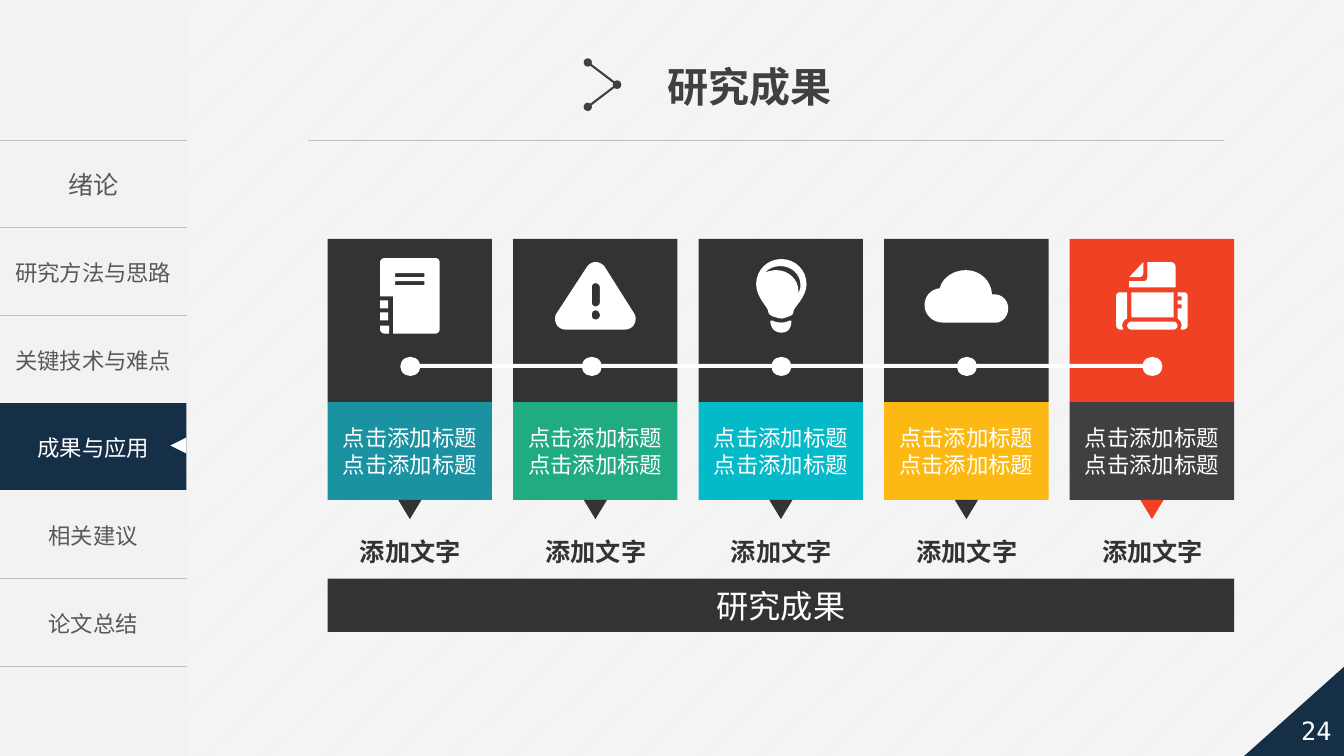
import pptx
import pptx.dml.color
import pptx.enum.dml
import pptx.enum.shapes
import pptx.enum.text
import pptx.oxml
import pptx.oxml.ns
import pptx.util

Inches = pptx.util.Inches
Shape = pptx.enum.shapes.MSO_SHAPE
Align = pptx.enum.text.PP_ALIGN
Anchor = pptx.enum.text.MSO_ANCHOR

COLORS = {
    "white": "FFFFFF", "panel": "F2F2F2", "rule": "BFBFBF", "menu": "595959",
    "navy": "152F47", "dark": "333333", "gray": "404040", "teal": "1A92A2",
    "green": "21AB82", "cyan": "05BAC8", "yellow": "FCB813", "red": "F14124",
}
CHAPTERS = ["绪论", "研究方法与思路", "关键技术与难点", "成果与应用", "相关建议", "论文总结"]
ACTIVE = 3
MENU_TOP, MENU_WIDTH, ROW_HEIGHT = 1.39, 1.85, 0.87
# top color, caption color, center of the timeline dot
CARDS = [("dark", "teal", 4.07), ("dark", "green", 5.87), ("dark", "cyan", 7.75),
         ("dark", "yellow", 9.59), ("red", "gray", 11.43)]
CARD_LEFT, CARD_STEP, CARD_WIDTH = 3.25, 1.84, 1.63

# Contours: a pair is a straight step, six numbers are a Bézier step.
NOTEBOOK = [
    [(3.82, 2.56), (4.32, 2.56), (4.34, 2.56, 4.36, 2.58, 4.36, 2.6), (4.36, 3.27),
     (4.36, 3.29, 4.34, 3.31, 4.32, 3.31), (3.9, 3.31), (3.9, 2.94), (3.77, 2.94),
     (3.77, 2.6), (3.77, 2.58, 3.79, 2.56, 3.82, 2.56)],
    [(3.92, 2.83), (4.21, 2.83), (4.21, 2.79), (3.92, 2.79)],
    [(3.92, 2.75), (4.21, 2.75), (4.21, 2.71), (3.92, 2.71)],
]
NOTEBOOK_CORNER = [[(3.86, 3.31), (3.82, 3.31), (3.79, 3.31, 3.77, 3.29, 3.77, 3.27),
                    (3.77, 3.23), (3.86, 3.23)]]
WARNING = [
    [(5.82, 2.65), (5.84, 2.62, 5.87, 2.6, 5.91, 2.6), (5.94, 2.6, 5.98, 2.62, 6, 2.65),
     (6.29, 3.11), (6.31, 3.14, 6.31, 3.18, 6.29, 3.22), (6.27, 3.25, 6.24, 3.27, 6.2, 3.27),
     (5.61, 3.27), (5.57, 3.27, 5.54, 3.25, 5.52, 3.22), (5.5, 3.18, 5.5, 3.14, 5.52, 3.11)],
    [(5.91, 3.17), (5.93, 3.17, 5.95, 3.15, 5.95, 3.13), (5.95, 3.1, 5.93, 3.08, 5.91, 3.08),
     (5.88, 3.08, 5.87, 3.1, 5.87, 3.13), (5.87, 3.15, 5.88, 3.17, 5.91, 3.17)],
    [(5.87, 3), (5.87, 3.02, 5.88, 3.04, 5.91, 3.04), (5.93, 3.04, 5.95, 3.02, 5.95, 3),
     (5.95, 2.85), (5.95, 2.83, 5.93, 2.81, 5.91, 2.81), (5.88, 2.81, 5.87, 2.83, 5.87, 2.85)],
]
BULB_BASE = [[(7.64, 3.18), (7.66, 3.18), (7.68, 3.19, 7.71, 3.2, 7.75, 3.2),
              (7.79, 3.2, 7.81, 3.19, 7.83, 3.18), (7.85, 3.18),
              (7.85, 3.25, 7.82, 3.3, 7.75, 3.3), (7.68, 3.3, 7.64, 3.25, 7.64, 3.18)]]
BULB = [
    [(7.75, 2.57), (7.89, 2.57, 8, 2.68, 8, 2.82), (8, 2.95, 7.87, 3.05, 7.87, 3.09),
     (7.87, 3.11, 7.86, 3.13, 7.82, 3.14), (7.81, 3.15, 7.78, 3.15, 7.76, 3.16),
     (7.73, 3.16, 7.7, 3.15, 7.67, 3.14), (7.64, 3.13, 7.62, 3.11, 7.62, 3.09),
     (7.62, 3.05, 7.5, 2.95, 7.5, 2.82), (7.5, 2.68, 7.61, 2.57, 7.75, 2.57)],
    [(7.7, 2.68), (7.82, 2.68, 7.92, 2.77, 7.92, 2.89), (7.92, 2.91),
     (7.93, 2.88, 7.94, 2.86, 7.94, 2.83), (7.94, 2.72, 7.85, 2.64, 7.74, 2.64),
     (7.67, 2.64, 7.62, 2.67, 7.58, 2.71), (7.61, 2.69, 7.66, 2.68, 7.7, 2.68)],
]
CLOUD = [[(9.32, 2.86), (9.35, 2.75, 9.46, 2.68, 9.58, 2.68),
          (9.72, 2.68, 9.83, 2.78, 9.84, 2.92), (9.86, 2.92),
          (9.94, 2.92, 10, 2.98, 10, 3.06), (10, 3.12, 9.96, 3.19, 9.89, 3.2), (9.35, 3.2),
          (9.25, 3.2, 9.17, 3.12, 9.17, 3.03), (9.17, 2.94, 9.23, 2.87, 9.32, 2.86)]]
PRINTER_LEFT = [[(11.11, 2.9), (11.18, 2.9), (11.18, 3.16), (11.15, 3.17, 11.13, 3.2, 11.13, 3.23),
                 (11.14, 3.27), (11.11, 3.27), (11.09, 3.27, 11.07, 3.25, 11.07, 3.23),
                 (11.07, 2.94), (11.07, 2.91, 11.09, 2.9, 11.11, 2.9)]]
PRINTER_RIGHT = [[(11.68, 3.16), (11.68, 3.06), (11.72, 3.06), (11.72, 3.02), (11.68, 3.02),
                  (11.68, 2.98), (11.72, 2.98), (11.72, 2.94), (11.68, 2.94), (11.68, 2.9),
                  (11.74, 2.9), (11.76, 2.9, 11.78, 2.91, 11.78, 2.94), (11.78, 3.23),
                  (11.78, 3.25, 11.76, 3.27, 11.74, 3.27), (11.71, 3.27), (11.72, 3.23),
                  (11.72, 3.2, 11.7, 3.17, 11.68, 3.16)]]
PAPER_FOLD = [[(11.3, 2.75), (11.2, 2.75), (11.34, 2.6), (11.34, 2.71),
               (11.34, 2.73, 11.32, 2.75, 11.3, 2.75)]]
PAPER = [[(11.2, 2.79), (11.34, 2.79), (11.37, 2.79, 11.38, 2.77, 11.38, 2.75), (11.38, 2.6),
          (11.61, 2.6), (11.64, 2.6, 11.66, 2.62, 11.66, 2.65), (11.66, 2.85), (11.2, 2.85)]]
ICONS = [NOTEBOOK_CORNER, NOTEBOOK, WARNING, BULB_BASE, BULB, CLOUD,
         PRINTER_LEFT, PRINTER_RIGHT, PAPER_FOLD, PAPER]


def color(name):
    return pptx.dml.color.RGBColor.from_string(COLORS[name])


def flatten(contour, steps=8):
    """Turn the Bézier steps of a contour into short straight ones."""
    points = [contour[0]]
    for step in contour[1:]:
        if len(step) == 2:
            points.append(step)
            continue
        corners = [points[-1], step[:2], step[2:4], step[4:]]
        for index in range(1, steps + 1):
            t = index / steps
            weights = ((1 - t) ** 3, 3 * t * (1 - t) ** 2, 3 * t * t * (1 - t), t ** 3)
            points.append(tuple(sum(w * corner[axis] for w, corner in zip(weights, corners))
                                for axis in (0, 1)))
    return [(Inches(x), Inches(y)) for x, y in points]


class SlideBuilder:
    font = "Noto Sans CJK SC"

    def __init__(self, slide):
        self.slide = slide
        self.shapes = slide.shapes

    def background(self):
        fill = self.slide.background.fill
        fill.patterned()
        fill.pattern = pptx.enum.dml.MSO_PATTERN.LIGHT_UPWARD_DIAGONAL
        fill.fore_color.rgb, fill.back_color.rgb = color("white"), color("panel")

    def add_lines(self, frame, lines, size, ink, bold=False, align=Align.CENTER, font=None):
        for index, line in enumerate(lines):
            paragraph = frame.paragraphs[0] if index == 0 else frame.add_paragraph()
            paragraph.alignment = align
            run = paragraph.add_run()
            run.text = line
            run.font.name = font or self.font
            run.font.size, run.font.bold = pptx.util.Pt(size), bold
            run.font.color.rgb = color(ink)
            east_asian = pptx.oxml.parse_xml(
                f'<a:ea {pptx.oxml.ns.nsdecls("a")} typeface="{self.font}"/>')
            run.font._element.find(pptx.oxml.ns.qn("a:latin")).addnext(east_asian)

    def paint(self, shape, fill):
        shape.shadow.inherit = False
        shape.fill.solid()
        shape.fill.fore_color.rgb = color(fill)
        shape.line.fill.background()

    def shape(self, kind, left, top, width, height, fill, rotation=0, lines=(), size=16):
        shape = self.shapes.add_shape(kind, *map(Inches, (left, top, width, height)))
        self.paint(shape, fill)
        shape.rotation = rotation
        frame = shape.text_frame
        frame.vertical_anchor = Anchor.MIDDLE
        frame.margin_left = frame.margin_right = Inches(0.08)
        frame.margin_top = frame.margin_bottom = Inches(0.04)
        self.add_lines(frame, lines, size, "white")
        return shape

    def text(self, left, top, width, height, line, size, ink, margins=(0, 0), **style):
        box = self.shapes.add_textbox(*map(Inches, (left, top, width, height)))
        frame = box.text_frame
        frame.word_wrap = False
        frame.vertical_anchor = Anchor.MIDDLE
        frame.margin_left = frame.margin_right = Inches(margins[0])
        frame.margin_top = frame.margin_bottom = Inches(margins[1])
        self.add_lines(frame, [line], size, ink, **style)

    def line(self, start, end, ink, width, ovals=False):
        line = self.shapes.add_connector(pptx.enum.shapes.MSO_CONNECTOR.STRAIGHT,
                                         *map(Inches, start + end))
        line.line.color.rgb, line.line.width = color(ink), pptx.util.Pt(width)
        if ovals:
            for tag in ("headEnd", "tailEnd"):
                line.line._get_or_add_ln().append(pptx.oxml.parse_xml(
                    f'<a:{tag} {pptx.oxml.ns.nsdecls("a")} type="oval"/>'))
        line._element.spPr.append(pptx.oxml.parse_xml(
            f'<a:effectLst {pptx.oxml.ns.nsdecls("a")}/>'))

    def icon(self, contours):
        first, *holes = map(flatten, contours)
        builder = self.shapes.build_freeform(*first[0], scale=1.0)
        builder.add_line_segments(first[1:], close=True)
        for hole in holes:
            builder.move_to(*hole[0])
            builder.add_line_segments(hole[1:], close=True)
        self.paint(builder.convert_to_shape(), "white")

    def menu(self):
        """Chapter table; rules are left out around the active row."""
        count = len(CHAPTERS)
        table = self.shapes.add_table(count, 1, 0, Inches(MENU_TOP), Inches(MENU_WIDTH),
                                      Inches(ROW_HEIGHT * count)).table
        table.first_row = table.horz_banding = False
        for index, chapter in enumerate(CHAPTERS):
            table.rows[index].height = Inches(ROW_HEIGHT)
            cell = table.cell(index, 0)
            cell.vertical_anchor = Anchor.MIDDLE
            self.add_lines(cell.text_frame, [chapter], 18 if index == 0 else 16,
                           "white" if index == ACTIVE else "menu")
            properties = cell._tc.get_or_add_tcPr()
            for tag, edge in (("lnL", None), ("lnR", None), ("lnT", index), ("lnB", index + 1)):
                plain = edge in (None, ACTIVE, ACTIVE + 1)
                fill = ("<a:noFill/>" if plain else
                        f'<a:solidFill><a:srgbClr val="{COLORS["rule"]}"/></a:solidFill>')
                properties.append(pptx.oxml.parse_xml(
                    f'<a:{tag} {pptx.oxml.ns.nsdecls("a")} w="12700">{fill}</a:{tag}>'))
            cell.fill.background()


def main():
    presentation = pptx.Presentation()
    presentation.slide_width, presentation.slide_height = Inches(13.33), Inches(7.5)
    page = SlideBuilder(presentation.slides.add_slide(presentation.slide_layouts[6]))
    page.background()

    page.shape(Shape.RECTANGLE, 0, 0, MENU_WIDTH, 7.5, "panel")
    page.shape(Shape.RECTANGLE, 0, MENU_TOP + ACTIVE * ROW_HEIGHT, MENU_WIDTH, 0.86, "navy")
    page.menu()
    page.shape(Shape.ISOSCELES_TRIANGLE, 1.69, 4.34, 0.16, 0.16, "white", rotation=270)
    page.line((3.05, 1.39), (12.14, 1.39), "rule", 0.5)
    corner = page.shape(Shape.RIGHT_TRIANGLE, 12.33, 6.58, 1.04, 0.93, "navy")
    corner._element.spPr.xfrm.set("flipH", "1")
    page.text(12.78, 6.97, 0.55, 0.55, "24", 18, "white", font="DejaVu Sans Mono")

    for index, (top_color, caption_color, dot) in enumerate(CARDS):
        left = CARD_LEFT + index * CARD_STEP
        page.shape(Shape.RECTANGLE, left, 2.37, CARD_WIDTH, 1.62, top_color)
        page.shape(Shape.RECTANGLE, left, 3.99, CARD_WIDTH, 0.97, caption_color,
                   lines=["点击添加标题"] * 2)
        page.shape(Shape.ISOSCELES_TRIANGLE, left + 0.7, 4.96, 0.23, 0.19, top_color, rotation=180)
        page.text(left + 0.23, 5.28, 1.18, 0.39, "添加文字", 18, "dark", (0.08, 0.04), bold=True)
        page.shape(Shape.OVAL, dot - 0.1, 3.54, 0.2, 0.19, "white")
    page.shape(Shape.RECTANGLE, 4.01, 3.61, 7.36, 0.04, "white")

    for contours in ICONS:
        page.icon(contours)
    for ring_top in (2.98, 3.1):
        page.shape(Shape.RECTANGLE, 3.77, ring_top, 0.08, 0.08, "white")
    page.shape(Shape.RECTANGLE, 11.22, 2.9, 0.42, 0.25, "white")
    roller = page.shape(Shape.ROUNDED_RECTANGLE, 11.18, 3.19, 0.5, 0.08, "white")
    roller.adjustments[0] = 0.5

    page.shape(Shape.RECTANGLE, CARD_LEFT, 5.74, 8.99, 0.53, "dark", lines=["研究成果"], size=23)
    page.text(6.52, 0.56, 1.85, 0.59, "研究成果", 29.3, "gray", (0.1, 0.05), bold=True,
              align=Align.LEFT, font="Arial")
    page.line((5.83, 0.62), (6.12, 0.84), "gray", 1.5, ovals=True)
    page.line((6.12, 0.84), (5.83, 1.06), "gray", 1.5, ovals=True)
    presentation.save("out.pptx")


if __name__ == "__main__":
    main()
